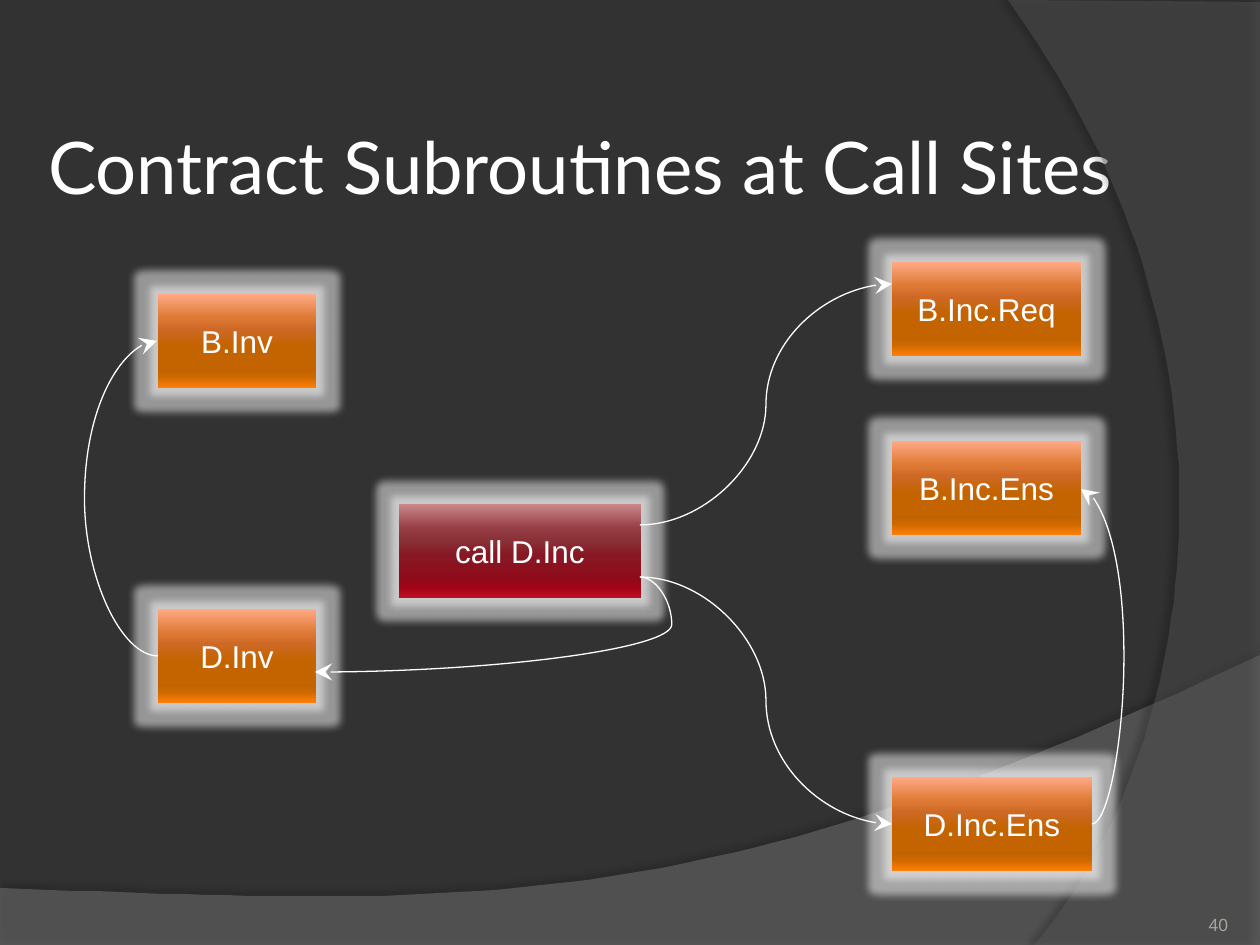
from lxml import etree
from pptx import Presentation
from pptx import util as u
from pptx.dml.color import RGBColor
from pptx.enum import shapes, text
from pptx.oxml.ns import qn

PX = 914400 / 126
COLORS = {"bg": "323232", "sweep": "7F7F7F", "side": "5E5E5E", "white": "FFFFFF",
          "number": "A8A49B", "black": "000000"}
STOPS = (0, 25, 38, 55, 80, 88, 100)
GRADIENTS = {
    "contract": "FFAA86 DE7A35 CD6924 C36400 C26300 CC6800 FF7F0A".split(),
    "call": "CA888B 973F46 8A3238 861723 900B1A 9F0516 BF0F21".split(),
}
# name: (gradient, left, top, width), all BOX_H high
BOX_H = 94
BOXES = {
    "call D.Inc": ("call", 399, 504, 242),
    "B.Inv": ("contract", 158, 294, 158),
    "B.Inc.Req": ("contract", 892, 262, 189),
    "B.Inc.Ens": ("contract", 892, 441, 189),
    "D.Inv": ("contract", 158, 609, 158),
    "D.Inc.Ens": ("contract", 892, 777, 200),
}
# from, to, x of the bend
ARROWS = [
    ((640, 577), (892, 824), 766),
    ((640, 525), (892, 284), 766),
    ((640, 577), (315, 672), 672),
    ((158, 656), (157, 341), 84),
    ((1092, 824), (1081, 489), 1124),
]


def px(n):
    return u.Emu(round(n * PX))


def rgb(name):
    return RGBColor.from_string(COLORS[name])


def add_xml(parent, tag, **attrs):
    return etree.SubElement(parent, qn(tag), {k: str(v) for k, v in attrs.items()})


def add_color(parent, value, alpha=100):
    clr = add_xml(parent, "a:srgbClr", val=value)
    if alpha < 100:
        add_xml(clr, "a:alpha", val=alpha * 1000)


def add_effect(sp, tag, color, alpha, **attrs):
    sp.shadow.inherit = False
    effects = sp._element.spPr.find(qn("a:effectLst"))
    add_color(add_xml(effects, tag, **attrs), COLORS[color], alpha)


def write(tf, words, align, **font):
    p = tf.paragraphs[0]
    p.alignment = align
    r = p.add_run()
    r.text = words
    r.font.color.rgb = rgb(font.pop("color"))
    for key, value in font.items():
        setattr(r.font, key, value)


def set_frame(tf, inset, anchor):
    values = {f"margin_{side}": px(inset) for side in ("left", "top", "right", "bottom")}
    values.update(word_wrap=True, vertical_anchor=anchor)
    for key, value in values.items():
        setattr(tf, key, value)


def bezier(a, b, c, d, steps=60):
    """Points of a cubic curve from a to d."""
    for i in range(steps + 1):
        t = i / steps
        w = ((1 - t) ** 3, 3 * t * (1 - t) ** 2, 3 * t * t * (1 - t), t ** 3)
        yield tuple(sum(k * pt[axis] for k, pt in zip(w, (a, b, c, d))) for axis in (0, 1))


def add_sweep(slide, points, color, alpha, shadow_alpha, distance, direction):
    """Translucent background area with a soft shadow along its curve."""
    points = list(points)
    builder = slide.shapes.build_freeform(*points[0], scale=PX)
    builder.add_line_segments(points[1:], close=True)
    sp = builder.convert_to_shape()
    sp.line.fill.background()
    sp.fill.solid()
    sp.fill.fore_color.rgb = rgb(color)
    add_xml(sp._element.spPr.find(".//" + qn("a:srgbClr")), "a:alpha", val=alpha * 1000)
    add_effect(sp, "a:outerShdw", "black", shadow_alpha, blurRad=u.Pt(4),
               dist=u.Pt(distance), dir=direction * 60000, algn="ctr", rotWithShape=0)


def add_background(slide, w, h):
    slide.background.fill.solid()
    slide.background.fill.fore_color.rgb = rgb("bg")
    bottom = [(0, h), (w, h), *bezier((w, 655), (704, 919), (493, 906), (0, 888))]
    add_sweep(slide, bottom, "sweep", 45, 35, 3.5, 270)
    side = [(w, 2), (w, h), *bezier((1034, h), (1178, 780), (1283, 378), (1008, 0))]
    add_sweep(slide, side, "side", 40, 45, 4, 180)


def add_title(slide, x, y, w, h):
    s = slide.shapes.title
    s.left, s.top, s.width, s.height = map(px, (x, y, w, h))
    set_frame(s.text_frame, 6, text.MSO_ANCHOR.MIDDLE)
    s.text_frame.auto_size = text.MSO_AUTO_SIZE.NONE
    write(s.text_frame, "Contract Subroutines at Call Sites", text.PP_ALIGN.LEFT,
          size=u.Pt(41.4), name="Lato", color="white")


def add_number(slide, x, y, w, h):
    tf = slide.shapes.add_textbox(*map(px, (x, y, w, h))).text_frame
    set_frame(tf, 0, text.MSO_ANCHOR.BOTTOM)
    write(tf, "40", text.PP_ALIGN.RIGHT, size=u.Pt(10), name="Arial", color="number")


def add_box(slide, label, gradient, x, y, w):
    sp = slide.shapes.add_shape(shapes.MSO_SHAPE.RECTANGLE, *map(px, (x, y, w, BOX_H)))
    sp.line.fill.background()
    sp.fill.gradient()
    sp.fill.gradient_angle = 270
    stops = sp._element.spPr.find(".//" + qn("a:gsLst"))
    for stop in list(stops):
        stops.remove(stop)
    for pos, value in zip(STOPS, GRADIENTS[gradient]):
        add_color(add_xml(stops, "a:gs", pos=pos * 1000), value)
    add_effect(sp, "a:glow", "white", 50, rad=u.Pt(9))
    set_frame(sp.text_frame, 6, text.MSO_ANCHOR.MIDDLE)
    write(sp.text_frame, label, text.PP_ALIGN.CENTER,
          size=u.Pt(18), name="Arial", color="white")


def add_arrow(slide, start, end, bend):
    s = slide.shapes.add_connector(shapes.MSO_CONNECTOR.CURVE, *map(px, start + end))
    s.line.color.rgb = rgb("white")
    s.line.width = u.Pt(0.75)
    spPr = s._element.spPr
    add_xml(spPr.find(qn("a:ln")), "a:tailEnd", type="stealth", w="lg", len="lg")
    add_xml(spPr, "a:effectLst")
    ratio = (bend - start[0]) / (end[0] - start[0])
    add_xml(spPr.find(".//" + qn("a:avLst")), "a:gd",
            name="adj1", fmla=f"val {round(ratio * 100000)}")


def main():
    prs = Presentation()
    prs.slide_width, prs.slide_height = px(1260), px(945)
    slide = prs.slides.add_slide(prs.slide_layouts[5])
    add_background(slide, 1260, 945)
    add_title(slide, 42, 126, 1176, 79)
    add_number(slide, 1124, 885, 104, 50)
    for label, box in BOXES.items():
        add_box(slide, label, *box)
    for arrow in ARROWS:
        add_arrow(slide, *arrow)
    prs.save("out.pptx")


if __name__ == "__main__":
    main()
